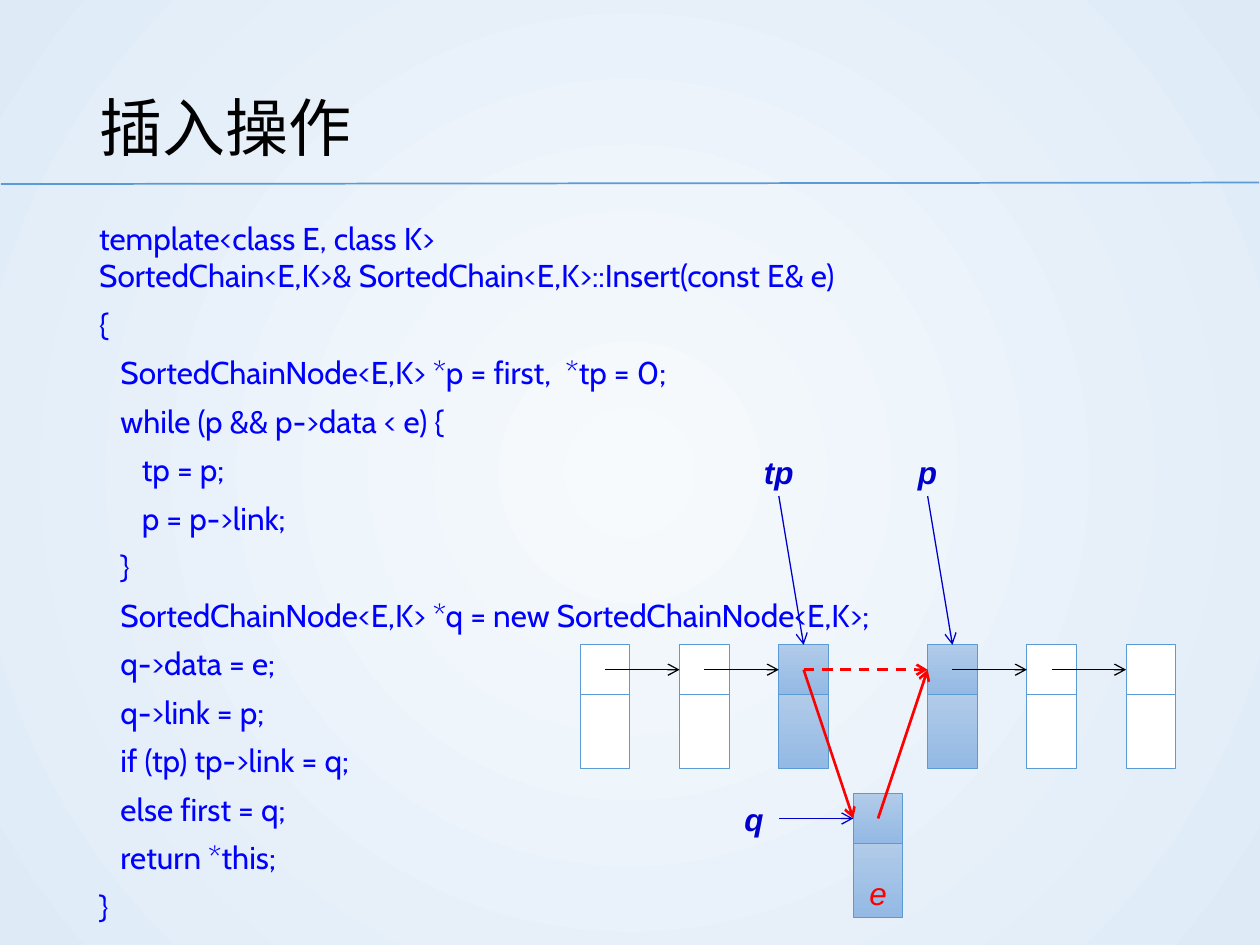
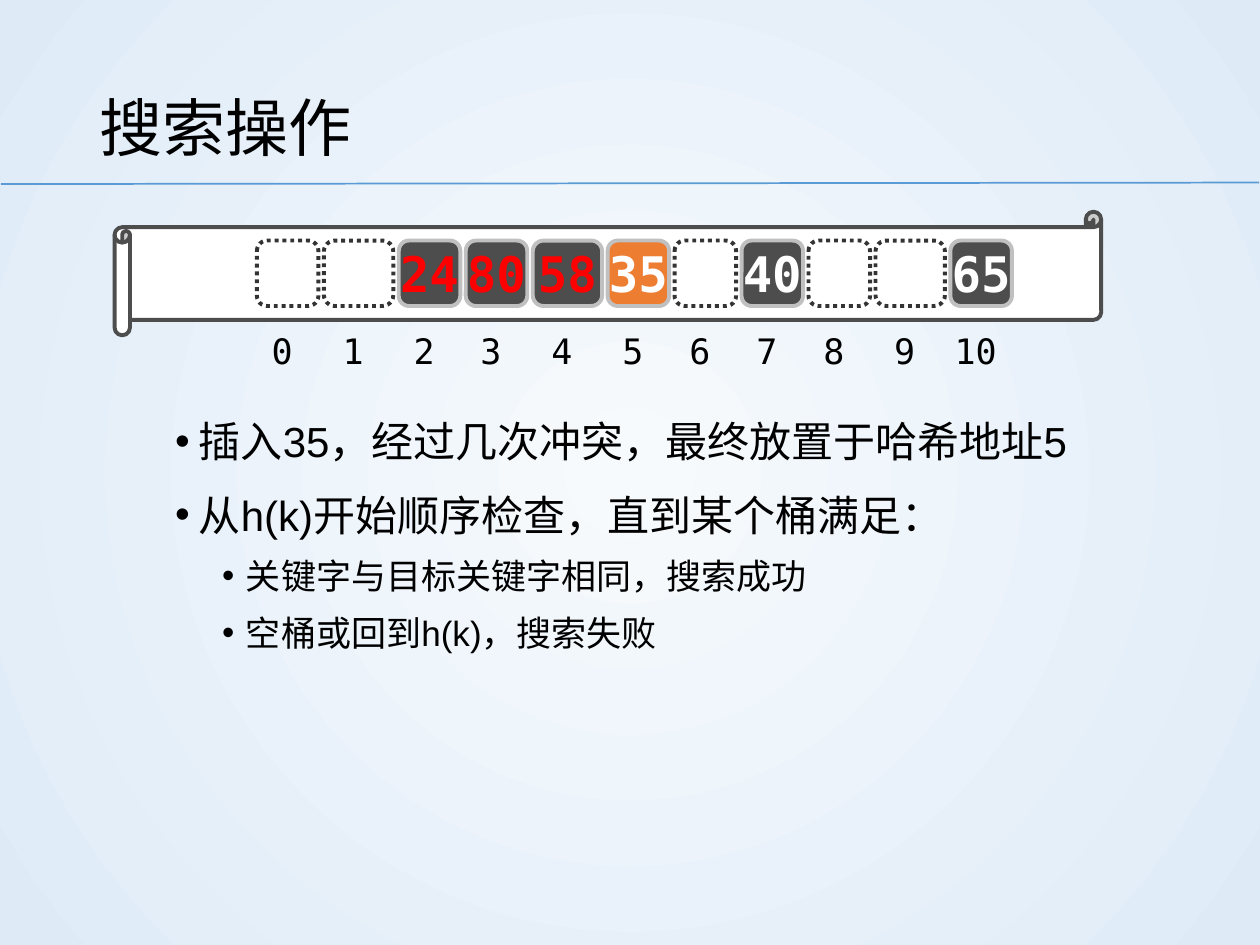
from dataclasses import dataclass
from typing import Optional

from lxml.etree import SubElement
from pptx import Presentation
from pptx.dml.color import RGBColor
from pptx.enum.dml import MSO_LINE
from pptx.enum.shapes import MSO_CONNECTOR, MSO_SHAPE
from pptx.enum.text import MSO_ANCHOR, PP_ALIGN
from pptx.oxml.ns import qn
from pptx.util import Cm, Pt

COLORS = {
    "bg_center": "F7FAFD", "bg_edge": "DEEBF7", "accent": "5B9BD5",
    "node_top": "B1CBE9", "node_bottom": "93B9E4",
    "black": "000000", "white": "FFFFFF", "red": "FF0000",
    "code": "0000FF", "pointer": "0000CC",
    "full": "4D4D4D", "full_edge": "C0C0C0", "empty_edge": "333333",
    "inserted": "ED7D31",
}
SANS, CODE, MONO = "Arial", "Cabin", "DejaVu Sans Mono"
TOP, LEFT, BOTTOM = 0, 1, 2  # connection sites of a rectangle

# Linked list grid: one unit is the width of a node
UNIT, GRID_X, GRID_Y = 1.0, 11.7, 13.0


@dataclass
class Node:
    col: float
    row: float = 0
    marked: bool = False


@dataclass
class Label:
    text: str
    col: float
    row: float
    width: float = 2
    color: str = "pointer"
    bold: bool = True


@dataclass
class Arrow:
    start: tuple[float, float]
    end: tuple[float, float]
    target: int  # index of the node it points at
    site: int = LEFT
    color: str = "black"
    width: float = 0.75
    dashed: bool = False
    label: Optional[int] = None  # index of the label it leaves


@dataclass
class Bucket:
    key: str = ""
    color: str = "white"
    fill: str = "full"
    width: float = 1.24


CODE_LINES = [  # (depth, text)
    (0, "template<class E, class K>"),
    (0, "SortedChain<E,K>& SortedChain<E,K>::Insert(const E& e)"),
    (0, "{"),
    (1, "SortedChainNode<E,K> *p = first,  *tp = 0;"),
    (1, "while (p && p->data < e) {"),
    (2, "tp = p;"),
    (2, "p = p->link;"),
    (1, "}"),
    (1, "SortedChainNode<E,K> *q = new SortedChainNode<E,K>;"),
    (1, "q->data = e;"),
    (1, "q->link = p;"),
    (1, "if (tp) tp->link = q;"),
    (1, "else first = q;"),
    (1, "return *this;"),
    (0, "}"),
]
NODES = [Node(0), Node(2), Node(4, marked=True), Node(7, marked=True),
         Node(9), Node(11), Node(5.5, 3, marked=True)]
LABELS = [Label("tp", 3, -4), Label("p", 6, -4), Label("q", 2.5, 3),
          Label("e", 5.5, 4.5, 1, "red", False)]
ARROWS = [
    *(Arrow((NODES[i].col + 0.5, 0.5), (NODES[i + 1].col, 0.5), i + 1)
      for i in (0, 1, 3, 4)),
    Arrow((4.5, 0.5), (7, 0.5), 3, color="red", width=1.5, dashed=True),
    Arrow((4, -3), (4.5, 0), 2, TOP, "pointer", label=0),
    Arrow((7, -3), (7.5, 0), 3, TOP, "pointer", label=1),
    Arrow((6, 3.5), (7, 0.5), 3, color="red", width=1.5),
    Arrow((4.5, 0.5), (5.5, 3.5), 6, color="red", width=1.5),
    Arrow((4, 3.5), (5.5, 3.5), 6, color="pointer"),
]
WIDE = 1.4
BUCKETS = [Bucket(), Bucket(width=WIDE), Bucket("24", "red"), Bucket("80", "red"),
           Bucket("58", "red", width=WIDE), Bucket("35", fill="inserted"), Bucket(),
           Bucket("40"), Bucket(), Bucket(width=WIDE), Bucket("65")]
BULLETS = [  # (level, text)
    (0, "插入35，经过几次冲突，最终放置于哈希地址5"),
    (0, "从h(k)开始顺序检查，直到某个桶满足："),
    (1, "关键字与目标关键字相同，搜索成功"),
    (1, "空桶或回到h(k)，搜索失败"),
]


def rgb(name: str) -> RGBColor:
    return RGBColor.from_string(COLORS[name])


def set_gradient(fill, first: str, last: str) -> None:
    fill.gradient()
    for stop, name in zip(fill.gradient_stops, (first, last)):
        stop.color.rgb = rgb(name)


def set_background(master) -> None:
    set_gradient(master.background.fill, "bg_center", "bg_edge")
    grad = master.element.find(".//" + qn("a:gradFill"))
    grad.remove(grad.find(qn("a:lin")))
    path = SubElement(grad, qn("a:path"), {"path": "circle"})
    SubElement(path, qn("a:fillToRect"), dict.fromkeys("ltrb", "50000"))


def add_run(p, text: str, size: float, font: str, color: str,
            bold: bool = False, italic: bool = False) -> None:
    r = p.add_run()
    r.text = text
    r.font.size, r.font.name = Pt(size), font
    r.font.color.rgb = rgb(color)
    r.font.bold, r.font.italic = bold, italic


def add_box(s, x: float, y: float, w: float, h: float):
    sp = s.shapes.add_textbox(Cm(x), Cm(y), Cm(w), Cm(h))
    sp.text_frame.word_wrap = True
    return sp


def next_paragraph(tf, first: bool, before: float, spacing: float = 1.2):
    p = tf.paragraphs[0] if first else tf.add_paragraph()
    p.line_spacing, p.space_before = spacing, Pt(before)
    return p


def center_text(sp, text: str, size: float, color: str, bold: bool = False) -> None:
    """Centre one unwrapped line in a cell without margins."""
    tf = sp.text_frame
    tf.margin_left = tf.margin_right = tf.margin_top = tf.margin_bottom = 0
    tf.word_wrap, tf.vertical_anchor = False, MSO_ANCHOR.MIDDLE
    tf.paragraphs[0].alignment = PP_ALIGN.CENTER
    add_run(tf.paragraphs[0], text, size, MONO, color, bold)


def add_shape(s, kind, x: float, y: float, w: float, h: float, fill: Optional[str],
              line: str, width: float):
    sp = s.shapes.add_shape(kind, Cm(x), Cm(y), Cm(w), Cm(h))
    sp.shadow.inherit = False
    if fill:
        sp.fill.solid()
        sp.fill.fore_color.rgb = rgb(fill)
    else:
        set_gradient(sp.fill, "node_top", "node_bottom")
        sp.fill.gradient_angle = 270
    sp.line.color.rgb, sp.line.width = rgb(line), Pt(width)
    return sp


def add_line(s, x1: float, y1: float, x2: float, y2: float, color: str, width: float):
    c = s.shapes.add_connector(MSO_CONNECTOR.STRAIGHT, Cm(x1), Cm(y1), Cm(x2), Cm(y2))
    c.line.color.rgb, c.line.width = rgb(color), Pt(width)
    SubElement(c.element.spPr, qn("a:effectLst"))
    return c


def grid(col: float, row: float) -> tuple[float, float]:
    return GRID_X + col * UNIT, GRID_Y + row * UNIT


def add_titled_slide(prs, title: str):
    s = prs.slides.add_slide(prs.slide_layouts[6])
    add_line(s, 0.02, 3.71, 25.38, 3.68, "accent", 1)
    tf = add_box(s, 1.75, 1.02, 21.9, 2.74).text_frame
    tf.vertical_anchor = MSO_ANCHOR.MIDDLE
    add_run(next_paragraph(tf, True, 0), title, 36, SANS, "black")
    return s


def add_node(s, node: Node):
    """Draw the link part, then the data part, which is returned."""
    x, y = grid(node.col, node.row)
    fill = None if node.marked else "white"
    add_shape(s, MSO_SHAPE.RECTANGLE, x, y + UNIT, UNIT, 1.5 * UNIT, fill, "accent", 0.5)
    return add_shape(s, MSO_SHAPE.RECTANGLE, x, y, UNIT, UNIT, fill, "accent", 0.5)


def add_label(s, label: Label):
    sp = add_box(s, *grid(label.col, label.row), label.width * UNIT, UNIT)
    p = sp.text_frame.paragraphs[0]
    p.alignment = PP_ALIGN.CENTER
    add_run(p, label.text, 18, SANS, label.color, label.bold, True)
    return sp


def add_arrow(s, arrow: Arrow, nodes: list, labels: list) -> None:
    c = add_line(s, *grid(*arrow.start), *grid(*arrow.end), arrow.color, arrow.width)
    if arrow.dashed:
        c.line.dash_style = MSO_LINE.DASH
    SubElement(c.line._get_or_add_ln(), qn("a:tailEnd"), {"type": "arrow"})
    if arrow.label is not None:
        c.begin_connect(labels[arrow.label], BOTTOM)
    c.end_connect(nodes[arrow.target], arrow.site)


def build_insert_slide(prs) -> None:
    s = add_titled_slide(prs, "插入操作")
    # Code listing
    tf = add_box(s, 1.75, 4.14, 21.9, 13.03).text_frame
    for i, (depth, text) in enumerate(CODE_LINES):
        p = next_paragraph(tf, i == 0, 1.8, 0.9 if i == 1 else 1.2)
        p._p.get_or_add_pPr().set("marL", str(Cm(0.43 * depth)))
        add_run(p, text, 18, CODE, "code")
    # Linked list
    nodes = [add_node(s, node) for node in NODES]
    labels = [add_label(s, label) for label in LABELS]
    for arrow in ARROWS:
        add_arrow(s, arrow, nodes, labels)


def build_search_slide(prs) -> None:
    s = add_titled_slide(prs, "搜索操作")
    # Bullets
    tf = add_box(s, 3.28, 8.05, 21.59, 7.47).text_frame
    for i, (level, text) in enumerate(BULLETS):
        p = next_paragraph(tf, i == 0, 3.8 if level else 7.5)
        p.level = level
        pPr = p._p.get_or_add_pPr()
        pPr.set("marL", str(Cm(0.48 + 0.95 * level)))
        pPr.set("indent", str(Cm(-0.48)))
        SubElement(pPr, qn("a:buFont"), {"typeface": SANS})
        SubElement(pPr, qn("a:buChar"), {"char": "•"})
        add_run(p, text, 20 if level else 24, SANS, "black")
    # Hash table on a scroll, with the addresses below
    add_shape(s, MSO_SHAPE.HORIZONTAL_SCROLL, 2.31, 4.27, 19.89, 2.49, "white", "full", 2.25)
    x, gap = 5.18, 0.11
    for address, b in enumerate(BUCKETS):
        sp = add_shape(s, MSO_SHAPE.ROUNDED_RECTANGLE, x, 4.85, b.width, 1.32,
                       b.fill if b.key else "white",
                       "full_edge" if b.key else "empty_edge", 2.25)
        if b.key:
            center_text(sp, b.key, 28, b.color, True)
        else:
            sp.line.dash_style = MSO_LINE.ROUND_DOT
        center_text(add_box(s, x - gap, 6.48, b.width, 1.17), str(address), 20, "black")
        x += b.width + gap


def main() -> None:
    prs = Presentation()
    prs.slide_width, prs.slide_height = Cm(25.4), Cm(19.05)
    set_background(prs.slide_master)
    build_insert_slide(prs)
    build_search_slide(prs)
    prs.save("out.pptx")


if __name__ == "__main__":
    main()
